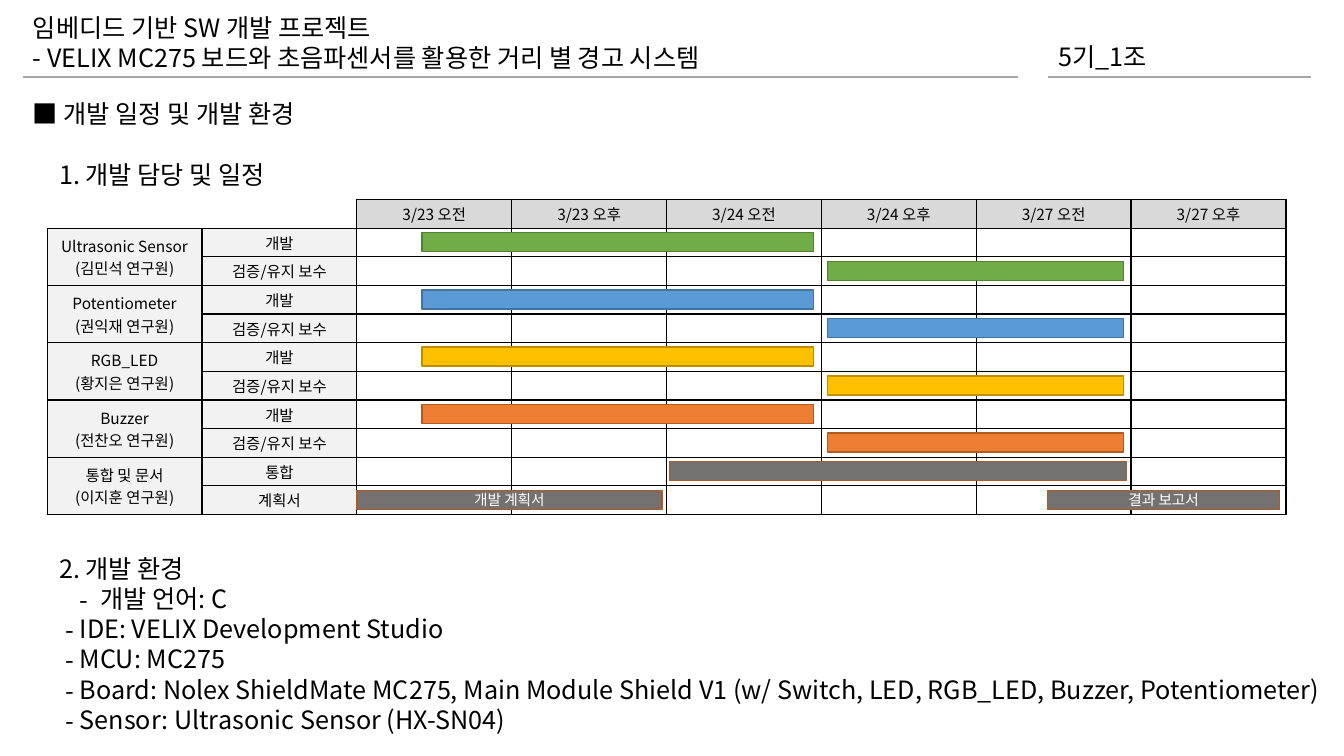
from lxml import etree
from pptx import Presentation
from pptx.dml.color import RGBColor
from pptx.enum.shapes import MSO_CONNECTOR, MSO_SHAPE
from pptx.enum.text import MSO_ANCHOR, MSO_AUTO_SIZE, PP_ALIGN
from pptx.oxml.ns import qn
from pptx.util import Cm, Pt

STRAIGHT = MSO_CONNECTOR.STRAIGHT
RECTANGLE = MSO_SHAPE.RECTANGLE
TOP, MIDDLE = MSO_ANCHOR.TOP, MSO_ANCHOR.MIDDLE
LEFT, CENTER = PP_ALIGN.LEFT, PP_ALIGN.CENTER
FONT = "Noto Sans CJK KR"
LINE_PITCH = 0.763  # cm between text lines
CONTENT_TOP = 2.36

COLORS = {
    "text": "000000", "white": "FFFFFF", "rule": "A5A5A5",
    "header": "D9D9D9", "label": "F2F2F2",
    "green": "70AD47", "green_edge": "538035",
    "blue": "5B9BD5", "blue_edge": "43739E",
    "yellow": "FFC000", "yellow_edge": "BD8E00",
    "orange": "ED7D31", "orange_edge": "AF5C24",
    "gray": "767171", "gray_edge": "AF5C24",
}
PERIODS = [f"{day} {half}" for day in ("3/23", "3/24", "3/27") for half in ("오전", "오후")]

# Bars are (start, end, text), counted in half-day columns
DEVELOP = ("개발", [(0.42, 2.95, "")])
VERIFY = ("검증/유지 보수", [(3.04, 4.95, "")])
REPORTS = ("계획서", [(0, 1.97, "개발 계획서"), (4.46, 5.96, "결과 보고서")])
TEAMS = [
    ("Ultrasonic Sensor\n(김민석 연구원)", "green", (DEVELOP, VERIFY)),
    ("Potentiometer\n(권익재 연구원)", "blue", (DEVELOP, VERIFY)),
    ("RGB_LED\n(황지은 연구원)", "yellow", (DEVELOP, VERIFY)),
    ("Buzzer\n(전찬오 연구원)", "orange", (DEVELOP, VERIFY)),
    ("통합 및 문서\n(이지훈 연구원)", "gray", (("통합", [(2.02, 4.97, "")]), REPORTS)),
]
# Text, left indent in cm, hanging space for the dash in cm
ENVIRONMENT = [
    ("2. 개발 환경", 0.66, 0),
    ("개발 언어: C", 1.7, 0.52),
    ("IDE: VELIX Development Studio", 1.18, 0.36),
    ("MCU: MC275", 1.18, 0.36),
    ("Board: Nolex ShieldMate MC275, Main Module Shield V1 "
     "(w/ Switch, LED, RGB_LED, Buzzer, Potentiometer)", 1.18, 0.36),
    ("Sensor: Ultrasonic Sensor (HX-SN04)", 1.18, 0.36),
]


def color(name):
    return RGBColor.from_string(COLORS[name])


def write(text_frame, text, size=18, color_name="text", align=LEFT, anchor=TOP, spacing=None):
    text_frame.text = text
    text_frame.vertical_anchor = anchor
    for paragraph in text_frame.paragraphs:
        paragraph.alignment = align
        paragraph.space_before = Pt(0)
        if spacing:
            paragraph.line_spacing = Pt(spacing)
        for run in paragraph.runs:
            run.font.size = Pt(size)
            run.font.name = FONT
            run.font.bold = False
            run.font.color.rgb = color(color_name)
            latin = run.font._element.find(qn("a:latin"))
            latin.addnext(latin.makeelement(qn("a:ea"), {"typeface": FONT}))


def fill_text_box(shape, text, left, top, width, height):
    shape.left, shape.top, shape.width, shape.height = Cm(left), Cm(top), Cm(width), Cm(height)
    text_frame = shape.text_frame
    text_frame.word_wrap = True
    text_frame.auto_size = MSO_AUTO_SIZE.NONE
    text_frame.margin_left, text_frame.margin_right = Cm(0.25), Cm(0)
    text_frame.margin_top = text_frame.margin_bottom = Cm(0.13)
    write(text_frame, text, spacing=21.6)


def add_text(slide, text, left, top, width, height=1.02):
    shape = slide.shapes.add_textbox(0, 0, 0, 0)
    fill_text_box(shape, text, left, top, width, height)


def add_rule(slide, left, top, width):
    rule = slide.shapes.add_connector(STRAIGHT, Cm(left), Cm(top), Cm(left + width), Cm(top))
    rule.line.color.rgb = color("rule")
    rule.line.width = Pt(1.5)
    etree.SubElement(rule._element.spPr, qn("a:effectLst"))


def set_borders(cell, visible):
    properties = cell._tc.get_or_add_tcPr()
    for side in "LRTB":
        border = etree.SubElement(properties, qn(f"a:ln{side}"), w=str(Pt(1)))
        if side in visible:
            fill = etree.SubElement(border, qn("a:solidFill"))
            etree.SubElement(fill, qn("a:srgbClr"), val=COLORS["text"])
        else:
            etree.SubElement(border, qn("a:noFill"))


def format_cell(cell, text="", fill=None, borders="LRTB"):
    set_borders(cell, borders)
    if fill:
        cell.fill.solid()
        cell.fill.fore_color.rgb = color(fill)
    else:
        cell.fill.background()
    cell.margin_top = cell.margin_bottom = Cm(0.04)
    write(cell.text_frame, text, size=11, align=CENTER)
    cell.vertical_anchor = MIDDLE
    if not text:
        paragraph = cell.text_frame.paragraphs[0]
        etree.SubElement(paragraph._p, qn("a:endParaRPr"), sz="1100")


def add_bar(slide, text, name, left, top, width, height):
    bar = slide.shapes.add_shape(RECTANGLE, Cm(left), Cm(top), Cm(width), Cm(height))
    bar.shadow.inherit = False
    bar.fill.solid()
    bar.fill.fore_color.rgb = color(name)
    bar.line.color.rgb = color(f"{name}_edge")
    bar.line.width = Pt(1)
    if text:
        text_frame = bar.text_frame
        text_frame.margin_top = text_frame.margin_bottom = 0
        write(text_frame, text, size=10.5, color_name="white", align=CENTER, anchor=MIDDLE)


def add_header(slide, left, top, width):
    group_left = left + 25.84
    fill_text_box(slide.shapes.title, "임베디드 기반 SW 개발 프로젝트\n"
                  "- VELIX MC275 보드와 초음파센서를 활용한 거리 별 경고 시스템",
                  left, top, 20.57, 1.75)
    add_text(slide, "5기_1조", group_left, top + 0.73, 6.1)
    add_rule(slide, left, top + 1.76, 25.07)
    add_rule(slide, group_left, top + 1.76, left + width - group_left)


def add_schedule(slide, left, top, width, height):
    row_count, column_count = 1 + 2 * len(TEAMS), 2 + len(PERIODS)
    row_height, column_width = height / row_count, width / column_count
    table = slide.shapes.add_table(row_count, column_count, Cm(left), Cm(top),
                                   Cm(width), Cm(height)).table
    table.first_row = table.horz_banding = False
    for row in table.rows:
        row.height = Cm(row_height)
    for column in table.columns:
        column.width = Cm(column_width)

    # Header row
    format_cell(table.cell(0, 0), borders="B")
    format_cell(table.cell(0, 1), borders="RB")
    for column, period in enumerate(PERIODS, 2):
        format_cell(table.cell(0, column), period, "header")

    # Two task rows per team, with their bars
    for team, (owner, bar_color, tasks) in enumerate(TEAMS):
        first_row = 1 + 2 * team
        table.cell(first_row, 0).merge(table.cell(first_row + 1, 0))
        for row, (task, bars) in enumerate(tasks, first_row):
            format_cell(table.cell(row, 0), owner if row == first_row else "", "label")
            format_cell(table.cell(row, 1), task, "label")
            for column in range(2, column_count):
                format_cell(table.cell(row, column))
            for start, end, text in bars:
                add_bar(slide, text, bar_color, left + (2 + start) * column_width,
                        top + row * row_height + 0.11, (end - start) * column_width, 0.48)


def add_environment(slide, left, top, width, height):
    body = slide.placeholders[1]
    fill_text_box(body, "\n".join(text for text, _, _ in ENVIRONMENT), left, top, width, height)
    for paragraph, (_, indent, hanging) in zip(body.text_frame.paragraphs, ENVIRONMENT):
        properties = paragraph._p.get_or_add_pPr()
        properties.set("marL", str(Cm(indent)))
        properties.set("indent", str(-Cm(hanging)))
        if hanging:
            etree.SubElement(properties, qn("a:buFont"), typeface=FONT)
            etree.SubElement(properties, qn("a:buChar"), char="-")
        else:
            etree.SubElement(properties, qn("a:buNone"))


def main():
    presentation = Presentation()
    presentation.slide_width, presentation.slide_height = Cm(33.87), Cm(19.05)
    slide = presentation.slides.add_slide(presentation.slide_layouts[1])
    add_header(slide, 0.58, 0.18, 32.47)
    add_text(slide, "■ 개발 일정 및 개발 환경", 0.58, CONTENT_TOP, 20)
    add_text(slide, "1. 개발 담당 및 일정", 1.24, CONTENT_TOP + 2 * LINE_PITCH, 20)
    add_schedule(slide, 1.19, 5.03, 31.22, 7.94)
    add_environment(slide, 0.58, CONTENT_TOP + 15 * LINE_PITCH, 33.2, 4.95)
    presentation.save("out.pptx")


if __name__ == "__main__":
    main()
